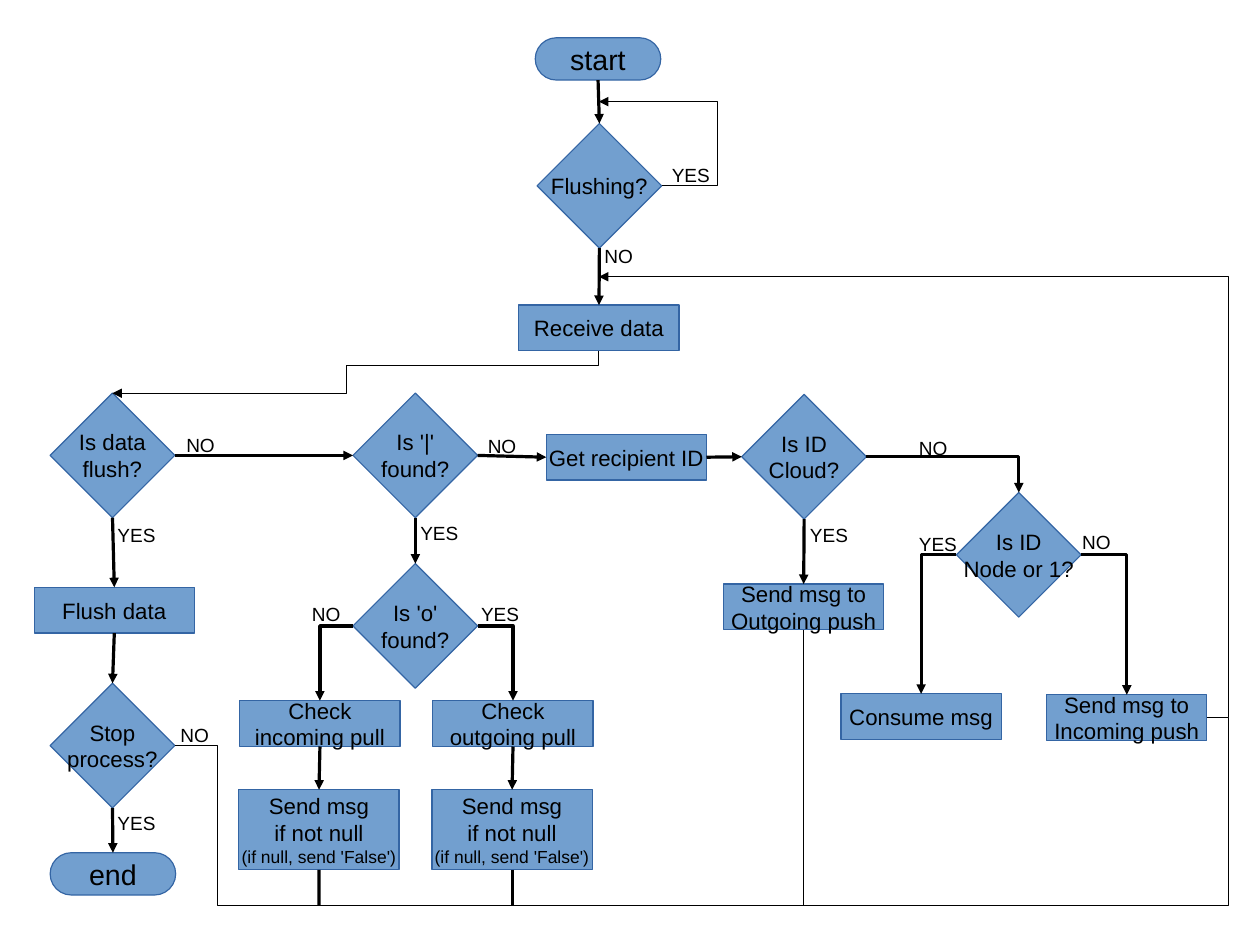
from lxml.etree import SubElement
from pptx import Presentation
from pptx.dml.color import RGBColor
from pptx.enum.shapes import MSO_CONNECTOR as CONNECTOR, MSO_SHAPE as SHAPE
from pptx.enum.text import MSO_ANCHOR as ANCHOR, PP_ALIGN as ALIGN
from pptx.oxml.ns import qn
from pptx.util import Cm, Pt

TOP, LEFT, BOTTOM, RIGHT = range(4)
BLACK, BLUE, DARK_BLUE = "000000", "729FCF", "3465A4"
rgb = RGBColor.from_string


def write_text(shape, text, size=14, note_size=11, align=ALIGN.CENTER, anchor=ANCHOR.MIDDLE, wrap=False):
    frame = shape.text_frame
    frame.word_wrap = wrap
    frame.vertical_anchor = anchor
    for index, line in enumerate(text.split("\n")):
        paragraph = frame.paragraphs[0] if index == 0 else frame.add_paragraph()
        paragraph.alignment = align
        run = paragraph.add_run()
        run.text = line
        run.font.name = "Arial"
        run.font.size = Pt(note_size if line.startswith("(") else size)
        run.font.color.rgb = rgb(BLACK)


def style_line(shape, color=BLACK, arrow=False):
    shape.line.color.rgb = rgb(color)
    shape.line.width = Pt(0)
    properties = shape._element.spPr
    if arrow:
        SubElement(properties.find(qn("a:ln")), qn("a:tailEnd"), type="triangle")
    SubElement(properties, qn("a:effectLst"))


presentation = Presentation()
presentation.slide_width = Cm(28)
presentation.slide_height = Cm(21)
slide = presentation.slides.add_slide(presentation.slide_layouts[6])
shapes = slide.shapes

kinds = {
    "terminal": (SHAPE.ROUNDED_RECTANGLE, 2.79, 0.94, 18),
    "decision": (SHAPE.DIAMOND, 2.77, 2.77, 14),
    "step": (SHAPE.RECTANGLE, 3.56, 1.02, 14),
    "send": (SHAPE.RECTANGLE, 3.56, 1.78, 14),
}
send_text = "Send msg\nif not null\n(if null, send 'False')"
nodes = {
    "start": ("terminal", 13.29, 1.31, "start"),
    "flushing": ("decision", 13.32, 4.13, "Flushing?"),
    "receive": ("step", 13.31, 7.29, "Receive data"),
    "is flush": ("decision", 2.5, 10.12, "Is data\nflush?"),
    "is bar": ("decision", 9.23, 10.12, "Is '|'\nfound?"),
    "recipient": ("step", 13.92, 10.16, "Get recipient ID"),
    "is cloud": ("decision", 17.87, 10.15, "Is ID\nCloud?"),
    "is node": ("decision", 22.64, 12.33, "Is ID\nNode or 1?"),
    "flush": ("step", 2.54, 13.56, "Flush data"),
    "is o": ("decision", 9.23, 13.91, "Is 'o'\nfound?"),
    "outgoing push": ("step", 17.86, 13.49, "Send msg to\nOutgoing push"),
    "consume": ("step", 20.47, 15.93, "Consume msg"),
    "incoming push": ("step", 25.04, 15.95, "Send msg to\nIncoming push"),
    "incoming pull": ("step", 7.11, 16.08, "Check\nincoming pull"),
    "outgoing pull": ("step", 11.4, 16.08, "Check\noutgoing pull"),
    "send incoming": ("send", 7.09, 18.44, send_text),
    "send outgoing": ("send", 11.38, 18.44, send_text),
    "stop": ("decision", 2.5, 16.57, "Stop\nprocess?"),
    "end": ("terminal", 2.51, 19.42, "end"),
}
boxes = {}
for name, (kind, center_x, center_y, text) in nodes.items():
    preset, width, height, size = kinds[kind]
    box = shapes.add_shape(preset, Cm(center_x - width / 2), Cm(center_y - height / 2), Cm(width), Cm(height))
    if kind == "terminal":
        box.adjustments[0] = 0.5
    box.fill.solid()
    box.fill.fore_color.rgb = rgb(BLUE)
    style_line(box, color=DARK_BLUE)
    write_text(box, text, size=size)
    boxes[name] = box

links = [
    ("start", BOTTOM, "flushing", TOP),
    ("flushing", BOTTOM, "receive", TOP),
    ("is flush", BOTTOM, "flush", TOP),
    ("is flush", RIGHT, "is bar", LEFT),
    ("flush", BOTTOM, "stop", TOP),
    ("stop", BOTTOM, "end", TOP),
    ("is bar", BOTTOM, "is o", TOP),
    ("is bar", RIGHT, "recipient", LEFT),
    ("recipient", RIGHT, "is cloud", LEFT),
    ("is cloud", BOTTOM, "outgoing push", TOP),
    ("incoming pull", BOTTOM, "send incoming", TOP),
    ("outgoing pull", BOTTOM, "send outgoing", TOP),
    ("is o", LEFT, "incoming pull", TOP),
    ("is o", RIGHT, "outgoing pull", TOP),
    ("is cloud", RIGHT, "is node", TOP),
    ("is node", LEFT, "consume", TOP),
    ("is node", RIGHT, "incoming push", TOP),
]
for source, source_side, target, target_side in links:
    turns = source_side != BOTTOM and target_side == TOP
    link = shapes.add_connector(CONNECTOR.ELBOW if turns else CONNECTOR.STRAIGHT, 0, 0, 0, 0)
    link.begin_connect(boxes[source], source_side)
    link.end_connect(boxes[target], target_side)
    if turns:
        link._element.spPr.find(qn("a:prstGeom")).set("prst", "bentConnector2")
    style_line(link, arrow=True)

return_x, return_y = 27.31, 20.12
for name in ("send incoming", "send outgoing"):
    center_x = Cm(nodes[name][1])
    link = shapes.add_connector(CONNECTOR.STRAIGHT, center_x, 0, center_x, Cm(return_y))
    link.begin_connect(boxes[name], BOTTOM)
    style_line(link)

routes = [
    (True, [(14.71, 4.13), (15.95, 4.13), (15.95, 2.26), (13.31, 2.26)]),
    (True, [(13.31, 7.8), (13.31, 8.13), (7.7, 8.13), (7.7, 8.74), (2.5, 8.74)]),
    (True, [(26.82, 15.95), (return_x, 15.95), (return_x, 6.15), (13.31, 6.15)]),
    (False, [(17.86, 14), (17.86, return_y), (return_x, return_y), (return_x, 15.95)]),
    (False, [(3.89, 16.57), (4.83, 16.57), (4.83, return_y), (17.86, return_y)]),
]
for arrow, points in routes:
    first, *others = [(Cm(x), Cm(y)) for x, y in points]
    builder = shapes.build_freeform(*first)
    builder.add_line_segments(others, close=False)
    route = builder.convert_to_shape()
    route.fill.background()
    style_line(route, arrow=arrow)

answers = {
    "YES": [(14.68, 3.51), (2.36, 11.51), (2.36, 17.91), (9.09, 11.46),
            (10.44, 13.26), (17.75, 11.51), (20.17, 11.71)],
    "NO": [(13.18, 5.31), (3.89, 9.5), (6.68, 13.26), (10.59, 9.53),
           (20.17, 9.58), (23.8, 11.66), (3.76, 15.95)],
}
for answer, places in answers.items():
    for left, top in places:
        label = shapes.add_textbox(Cm(left), Cm(top), Cm(1.52), Cm(0.79))
        write_text(label, answer, size=12, align=ALIGN.LEFT, anchor=ANCHOR.TOP, wrap=True)

presentation.save("out.pptx")
